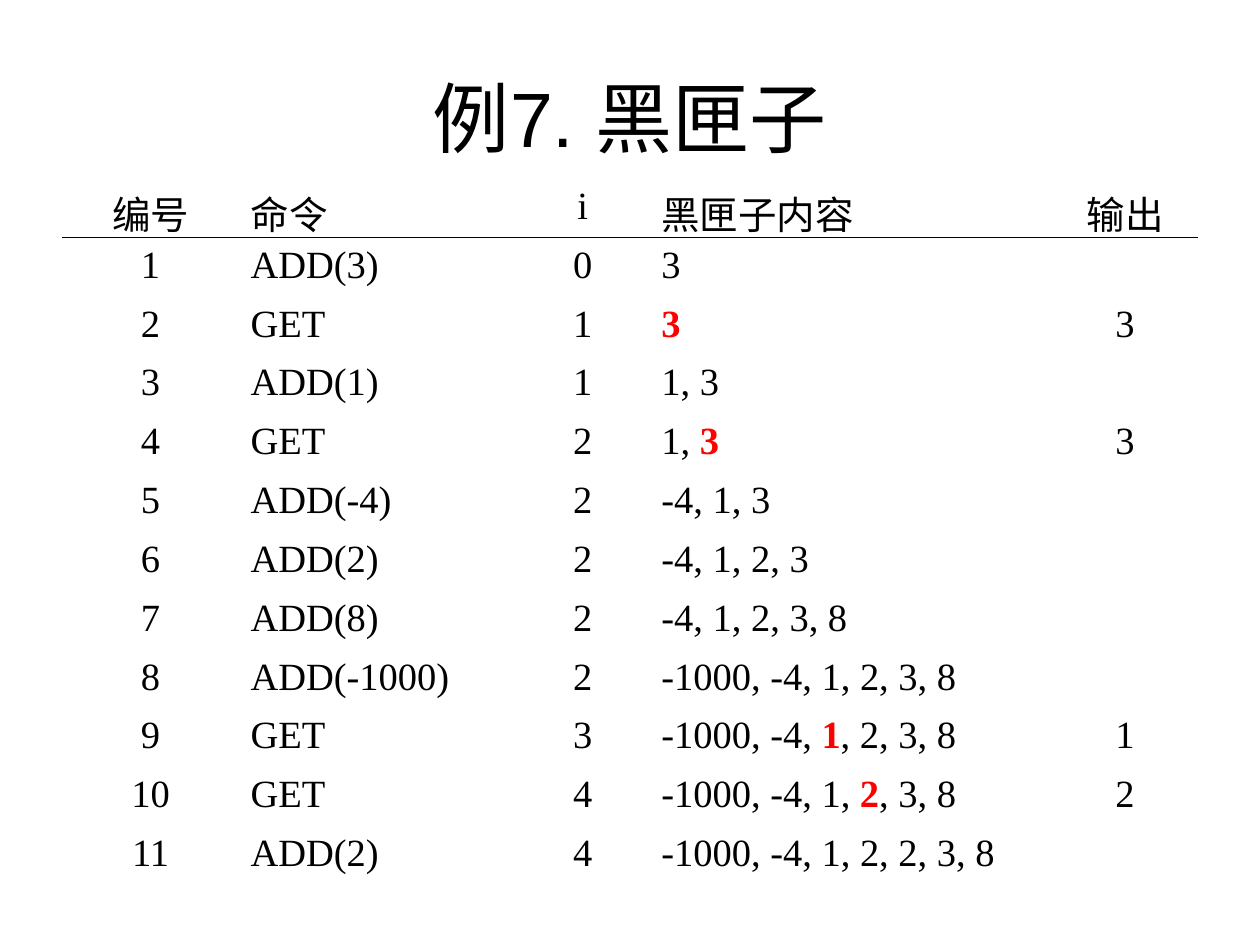
import pptx
import pptx.util
import pptx.dml.color
import pptx.enum.text
import pptx.oxml
import pptx.oxml.ns
from pptx.util import Inches

COLORS = {"text": "000000", "mark": "FF0000", "line": "000000"}
ALIGN = pptx.enum.text.PP_ALIGN
COLS = [1.39, 2.21, 1.05, 3.21, 1.14]
CENTERED = {0, 2, 4}
HEAD = ["编号", "命令", "i", "黑匣子内容", "输出"]

# Command, i, box content (*marked* value is the one fetched), output
STEPS = [
    ("ADD(3)", "0", "3", ""),
    ("GET", "1", "*3*", "3"),
    ("ADD(1)", "1", "1, 3", ""),
    ("GET", "2", "1, *3*", "3"),
    ("ADD(-4)", "2", "-4, 1, 3", ""),
    ("ADD(2)", "2", "-4, 1, 2, 3", ""),
    ("ADD(8)", "2", "-4, 1, 2, 3, 8", ""),
    ("ADD(-1000)", "2", "-1000, -4, 1, 2, 3, 8", ""),
    ("GET", "3", "-1000, -4, *1*, 2, 3, 8", "1"),
    ("GET", "4", "-1000, -4, 1, *2*, 3, 8", "2"),
    ("ADD(2)", "4", "-1000, -4, 1, 2, 2, 3, 8", ""),
]


def write(frame, text, size=22, font="Times New Roman", align=ALIGN.LEFT, hang=0):
    """Write text; parts between asterisks are bold and red."""
    para = frame.paragraphs[0]
    para.alignment = align
    if hang:
        props = para._p.get_or_add_pPr()
        props.set("marL", str(Inches(hang)))
        props.set("indent", str(-Inches(hang)))
    for i, part in enumerate(text.split("*")):
        if not part:
            continue
        marked = i % 2 == 1
        run = para.add_run()
        run.text = part
        run.font.size = pptx.util.Pt(size)
        run.font.name = font
        run.font.bold = marked
        color = COLORS["mark" if marked else "text"]
        run.font.color.rgb = pptx.dml.color.RGBColor.from_string(color)


def rule(cell, side):
    """Draw a thin line on one side of a cell: lnT or lnB."""
    space = pptx.oxml.ns.nsdecls("a")
    line = pptx.oxml.parse_xml(
        f'<a:{side} {space} w="{pptx.util.Pt(0.45)}"><a:solidFill>'
        f'<a:srgbClr val="{COLORS["line"]}"/></a:solidFill></a:{side}>'
    )
    cell._tc.get_or_add_tcPr().insert(0, line)


def add_title(slide, text):
    box = slide.shapes.add_textbox(Inches(0.5), Inches(0.3), Inches(9), Inches(1.25))
    frame = box.text_frame
    frame.word_wrap = True
    frame.vertical_anchor = pptx.enum.text.MSO_ANCHOR.MIDDLE
    write(frame, text, size=44, font="Arial", align=ALIGN.CENTER)


def add_grid(slide, rows):
    table = slide.shapes.add_table(
        len(rows), len(COLS), Inches(0.5), Inches(1.42), Inches(9), Inches(5.6)
    ).table
    table.first_row = table.horz_banding = False
    for col, width in zip(table.columns, COLS):
        col.width = Inches(width)
    for r, row in enumerate(rows):
        for c, text in enumerate(row):
            cell = table.cell(r, c)
            cell.fill.background()
            align = ALIGN.CENTER if c in CENTERED else ALIGN.LEFT
            write(cell.text_frame, text, align=align, hang=0.38)
            # Line between the header and the first step
            if r < 2:
                rule(cell, ("lnB", "lnT")[r])


def main():
    deck = pptx.Presentation()
    deck.slide_width, deck.slide_height = Inches(10), Inches(7.5)
    slide = deck.slides.add_slide(deck.slide_layouts[6])
    add_title(slide, "例7. 黑匣子")
    steps = [(str(n), *step) for n, step in enumerate(STEPS, 1)]
    add_grid(slide, [HEAD] + steps)
    deck.save("out.pptx")


if __name__ == "__main__":
    main()
